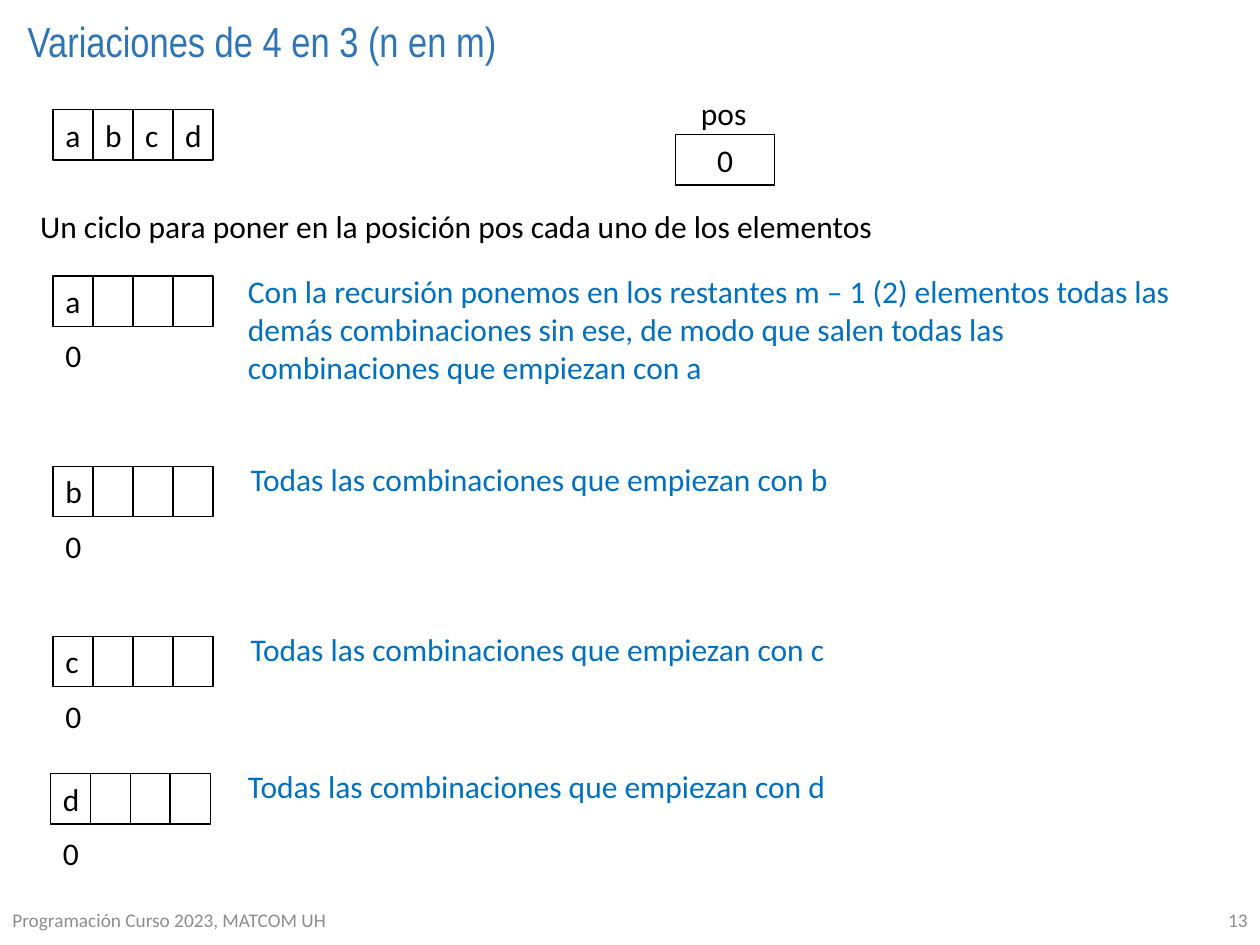
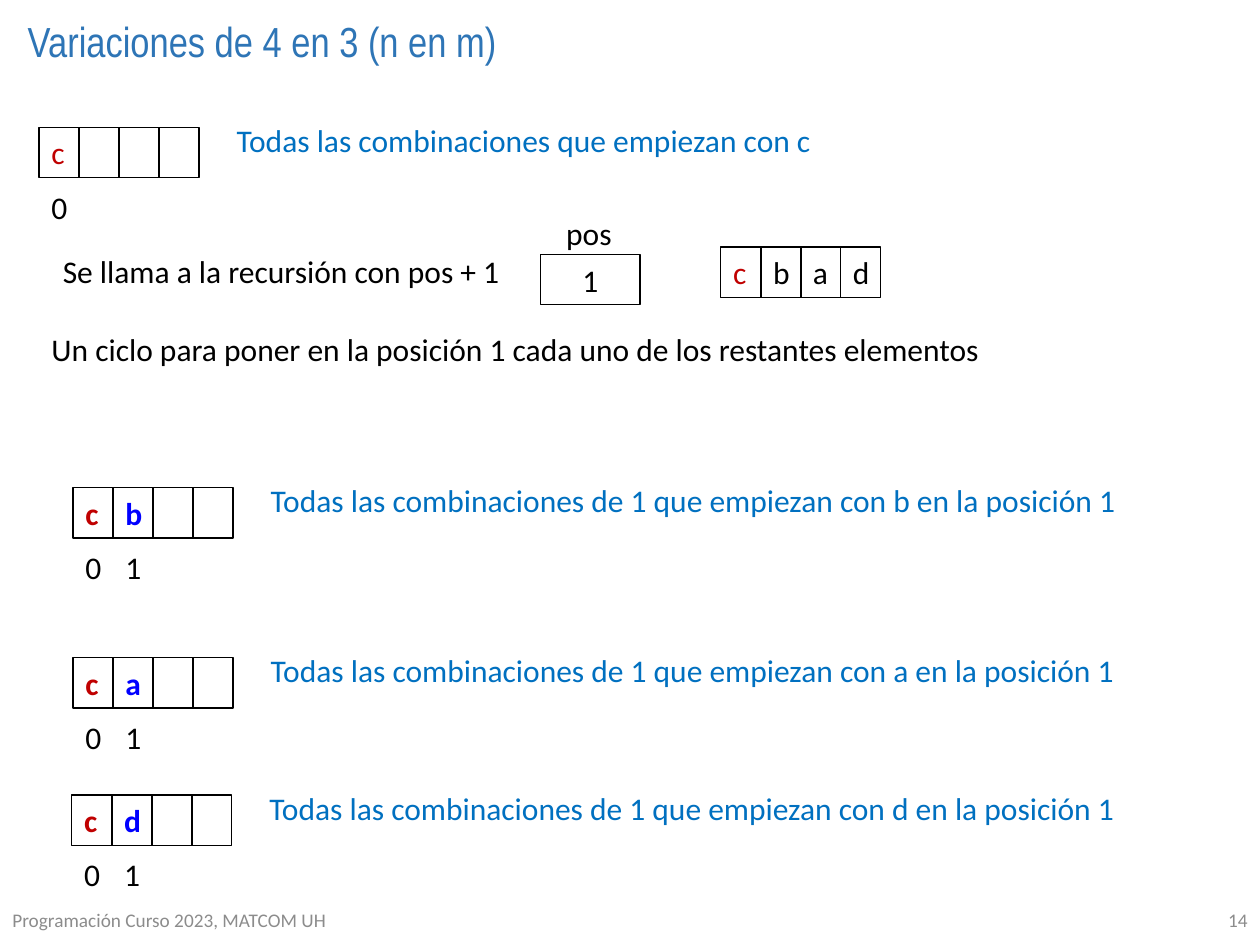
import pptx
import pptx.util
import pptx.dml.color
import pptx.enum.shapes
import pptx.enum.text

WIDTH, HEIGHT = 10, 7.5
STRIP_CELLS = 4
CELL_PITCH = 0.95 / 3
CELL_WIDTH, LINE_HEIGHT = 0.32, 0.4
INDEX_DROP = 0.43
CAPTION_SHIFT, CAPTION_WIDTH = 1.47, 7.73
POS_WIDTH, POS_LABEL_WIDTH, POS_LABEL_RISE = 0.79, 0.58, 0.37

BLACK, CAPTION_BLUE, TITLE_BLUE, FOOTER_GRAY = "000000", "0070C0", "2E75B6", "8C8C8C"
FIXED_RED, CHOSEN_BLUE = "C00000", "0000FF"
TITLE_FONT, BODY_FONT = "Arial Narrow", "Calibri"

TITLE = "Variaciones de 4 en 3 (n en m)"
FOOTER = "Programación Curso 2023, MATCOM UH"
RECURSION = (
    "Con la recursión ponemos en los restantes m – 1 (2) elementos todas las "
    "demás combinaciones sin ese, de modo que salen todas las "
    "combinaciones que empiezan con a"
)
STARTING_WITH = "Todas las combinaciones que empiezan con {}"
SECOND_IS = "Todas las combinaciones de 1 que empiezan con {} en la posición 1"

SLIDES = [
    {
        "number": 13,
        "strips": [(0.42, 0.87, "abcd", [])],
        "pos": (5.36, 1.07, "0"),
        "sentences": [
            (0.22, 1.59, 8.55, "Un ciclo para poner en la posición pos cada uno de los elementos"),
        ],
        "combinations": [
            (0.42, 2.19, "a", [], RECURSION, 3),
            (0.42, 3.7, "b", [], STARTING_WITH.format("b"), 1),
            (0.42, 5.05, "c", [], STARTING_WITH.format("c"), 1),
            (0.4, 6.14, "d", [], STARTING_WITH.format("d"), 1),
        ],
    },
    {
        "number": 14,
        "strips": [(5.72, 1.96, "cbad", [FIXED_RED])],
        "pos": (4.29, 2.02, "1"),
        "sentences": [
            (0.4, 1.95, 4.67, "Se llama a la recursión con pos + 1"),
            (0.31, 2.57, 8.55, "Un ciclo para poner en la posición 1 cada uno de los restantes elementos"),
        ],
        "combinations": [
            (0.31, 1.01, "c", [FIXED_RED], STARTING_WITH.format("c"), 1),
            (0.58, 3.87, "cb", [FIXED_RED, CHOSEN_BLUE], SECOND_IS.format("b"), 1),
            (0.58, 5.22, "ca", [FIXED_RED, CHOSEN_BLUE], SECOND_IS.format("a"), 1),
            (0.57, 6.31, "cd", [FIXED_RED, CHOSEN_BLUE], SECOND_IS.format("d"), 1),
        ],
    },
]


def rgb(color):
    return pptx.dml.color.RGBColor.from_string(color)


def inches(*lengths):
    return [pptx.util.Inches(length) for length in lengths]


def write(frame, text, color=BLACK, size=18, font=BODY_FONT, bold=False, align="LEFT", anchor="TOP"):
    frame.text = text
    frame.word_wrap = " " in text
    frame.auto_size = pptx.enum.text.MSO_AUTO_SIZE.NONE
    frame.vertical_anchor = getattr(pptx.enum.text.MSO_ANCHOR, anchor)
    paragraph = frame.paragraphs[0]
    paragraph.alignment = getattr(pptx.enum.text.PP_ALIGN, align)
    for run in paragraph.runs:
        run.font.name = font
        run.font.size = pptx.util.Pt(size)
        run.font.bold = bold
        run.font.color.rgb = rgb(color)
    return paragraph


def add_label(shapes, left, top, width, text, height=LINE_HEIGHT, **style):
    label = shapes.add_textbox(*inches(left, top, width, height))
    write(label.text_frame, text, **style)


def add_cell(shapes, left, top, width, text="", **style):
    cell = shapes.add_shape(
        pptx.enum.shapes.MSO_SHAPE.RECTANGLE, *inches(left, top, width, LINE_HEIGHT)
    )
    cell.shadow.inherit = False
    cell.fill.background()
    cell.line.color.rgb = rgb(BLACK)
    cell.line.width = pptx.util.Pt(0.75)
    write(cell.text_frame, text, **style)


def add_strip(shapes, left, top, letters, colors):
    for index in range(STRIP_CELLS):
        add_cell(
            shapes, left + index * CELL_PITCH, top, CELL_WIDTH, letters[index:index + 1],
            color=colors[index] if index < len(colors) else BLACK,
            bold=len(colors) > 1,
        )


def add_combination(shapes, left, top, letters, colors, caption, lines):
    group = shapes.add_group_shape().shapes
    add_strip(group, left, top, letters, colors)
    for index in range(len(letters)):
        add_label(group, left + index * CELL_PITCH, top + INDEX_DROP, CELL_WIDTH, str(index))
    rise = 0.08 if lines > 1 else 0.1
    shift = CAPTION_SHIFT - (0.02 if lines > 1 else 0)
    add_label(
        group, left + shift, top - rise, CAPTION_WIDTH, caption,
        height=0.1 + 0.3 * lines, color=CAPTION_BLUE,
    )


def add_pos(shapes, left, top, value):
    label_left = left + (POS_WIDTH - POS_LABEL_WIDTH) / 2
    add_label(shapes, label_left, top - POS_LABEL_RISE, POS_LABEL_WIDTH, "pos")
    add_cell(shapes, left, top, POS_WIDTH, value, align="CENTER")


def add_frame(slide, number):
    title = slide.shapes.title
    title.left, title.top, title.width, title.height = inches(0.12, 0.12, 8.62, 0.68)
    heading = write(title.text_frame, TITLE, color=TITLE_BLUE, size=24, font=TITLE_FONT)
    heading.line_spacing = 0.9
    footer_top = HEIGHT - LINE_HEIGHT
    style = {"color": FOOTER_GRAY, "size": 11, "anchor": "MIDDLE"}
    add_label(slide.shapes, 0, footer_top, 0.6 * WIDTH, FOOTER, **style)
    add_label(slide.shapes, 0.775 * WIDTH, footer_top, 0.225 * WIDTH, str(number), align="RIGHT", **style)


def main():
    deck = pptx.Presentation()
    deck.slide_width, deck.slide_height = inches(WIDTH, HEIGHT)
    for content in SLIDES:
        slide = deck.slides.add_slide(deck.slide_layouts[5])
        add_frame(slide, content["number"])
        for strip in content["strips"]:
            add_strip(slide.shapes, *strip)
        add_pos(slide.shapes, *content["pos"])
        for sentence in content["sentences"]:
            add_label(slide.shapes, *sentence)
        for combination in content["combinations"]:
            add_combination(slide.shapes, *combination)
    deck.save("out.pptx")


if __name__ == "__main__":
    main()
